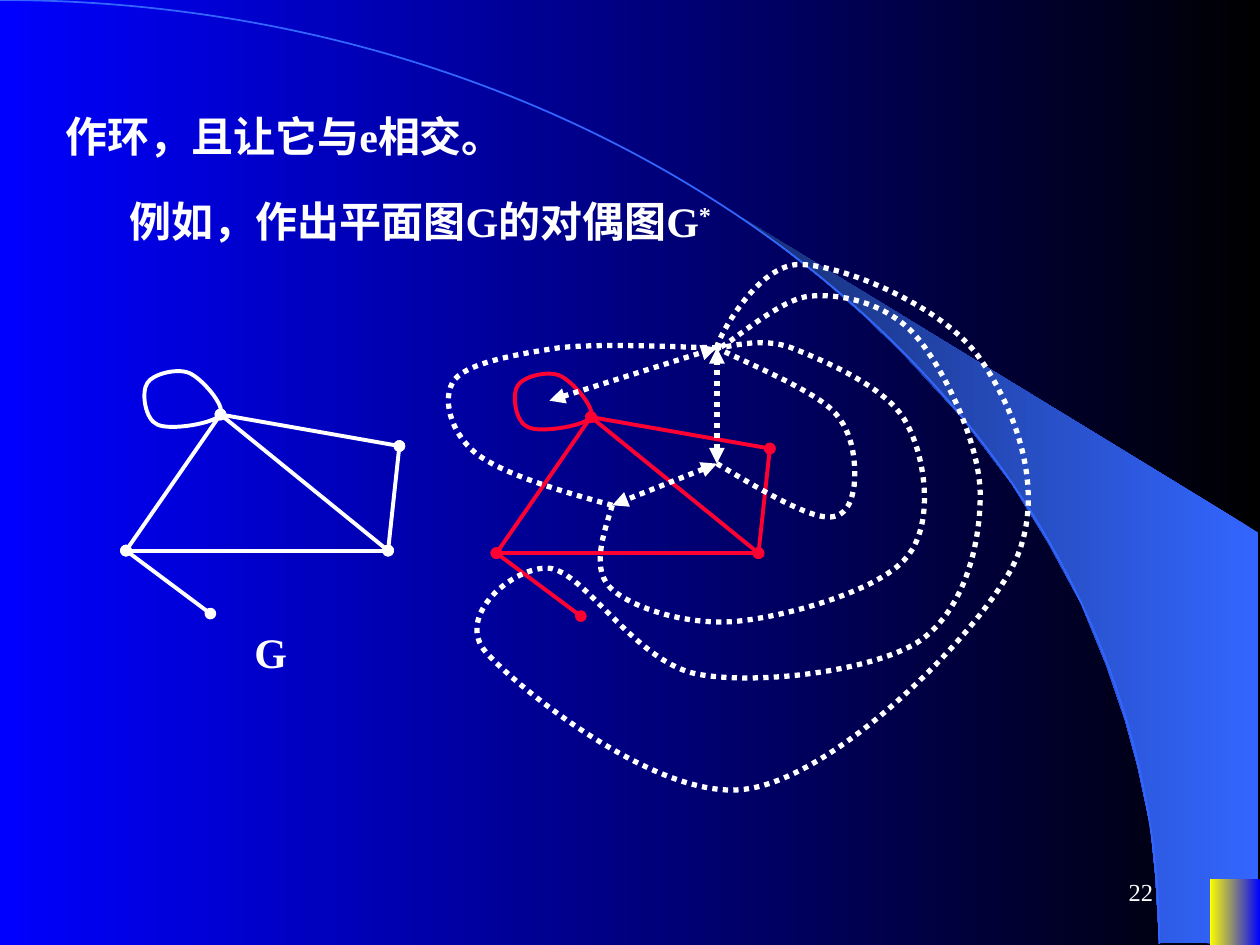
import pptx
import pptx.dml.color
import pptx.enum.dml
import pptx.enum.shapes
import pptx.enum.text
import pptx.oxml
import pptx.oxml.ns
import pptx.util
from pptx.util import Inches

RGBColor = pptx.dml.color.RGBColor
BLACK = RGBColor(0x00, 0x00, 0x00)
WHITE = RGBColor(0xFF, 0xFF, 0xFF)
RED = RGBColor(0xFF, 0x00, 0x33)
BLUE = RGBColor(0x00, 0x00, 0xFF)
YELLOW = RGBColor(0xFF, 0xFF, 0x00)
SKY = RGBColor(0x33, 0x66, 0xFF)
NAVY = RGBColor(0x17, 0x2F, 0x75)
FONT = "Times New Roman"
qn = pptx.oxml.ns.qn

presentation = pptx.Presentation()
presentation.slide_width = Inches(10)
presentation.slide_height = Inches(7.5)
slide = presentation.slides.add_slide(presentation.slide_layouts[6])
shapes = slide.shapes


def add_outline(points, curved=True, closed=False):
    """Draw an unfilled outline; if curved, each three points after the first make one Bezier."""
    vertices = [(Inches(x), Inches(y)) for x, y in points]
    builder = shapes.build_freeform(*vertices[0], scale=1.0)
    builder.add_line_segments(vertices[1:], close=closed)
    shape = builder.convert_to_shape()
    shape.shadow.inherit = False
    shape.fill.background()
    if curved:
        path = next(shape.element.iter(qn("a:path")))
        segments = iter(path.findall(qn("a:lnTo")))
        for triple in zip(segments, segments, segments):
            curve = path.makeelement(qn("a:cubicBezTo"))
            triple[0].addprevious(curve)
            for segment in triple:
                curve.append(segment[0])
                path.remove(segment)
    return shape


def add_edge(start, end, color, width, tip):
    """Draw a straight line with the same tip at both ends."""
    edge = shapes.add_connector(
        pptx.enum.shapes.MSO_CONNECTOR.STRAIGHT, *(Inches(value) for value in (*start, *end)))
    edge.line.color.rgb = color
    edge.line.width = pptx.util.Pt(width)
    if tip == "triangle":
        edge.line.dash_style = pptx.enum.dml.MSO_LINE.ROUND_DOT
    line = edge.element.spPr.find(qn("a:ln"))
    for tag in ("a:headEnd", "a:tailEnd"):
        line.append(line.makeelement(qn(tag), {"type": tip}))
    edge.element.spPr.append(line.makeelement(qn("a:effectLst")))


# Backdrop
band = add_outline([
    (9.2, 7.48), (9.99, 7.49), (9.99, 4.23), (5.89, 1.73), (6.24, 1.99), (6.53, 2.22),
    (6.85, 2.5), (7.16, 2.8), (7.62, 3.3), (8.03, 3.84), (8.32, 4.31), (8.58, 4.79),
    (8.78, 5.28), (8.93, 5.72), (9.03, 6.09), (9.13, 6.56), (9.17, 6.96), (9.2, 7.48),
], curved=False)
band.line.fill.background()

arc = add_outline([(0, 0), (5.08, 0), (9.2, 3.35), (9.2, 7.49)])
arc.line.color.rgb = SKY
arc.line.width = pptx.util.Pt(1)

corner = shapes.add_shape(
    pptx.enum.shapes.MSO_SHAPE.RECTANGLE, Inches(9.6), Inches(6.98), Inches(0.4), Inches(0.52))
corner.shadow.inherit = False
corner.line.fill.background()

for fill, first_color, last_color in (
    (slide.background.fill, BLACK, BLUE),
    (band.fill, SKY, NAVY),
    (corner.fill, BLUE, YELLOW),
):
    fill.gradient()
    fill.gradient_angle = 180
    for stop, position, color in zip(fill.gradient_stops, (0, 1), (first_color, last_color)):
        stop.position = position
        stop.color.rgb = color

# Graph G in white, and again in red under its dual
TOP, LEFT, CENTER, PENDANT, RIGHT = (
    (1.75, 3.29), (1, 4.37), (3.08, 4.37), (1.67, 4.87), (3.17, 3.54))
GRAPH_EDGES = [(TOP, LEFT), (LEFT, CENTER), (TOP, CENTER),
               (LEFT, PENDANT), (CENTER, RIGHT), (TOP, RIGHT)]
GRAPH_LOOP = [
    TOP, (1.79, 3.22), (1.6, 3), (1.5, 2.96), (1.4, 2.92), (1.21, 2.97), (1.17, 3.04),
    (1.12, 3.11), (1.15, 3.33), (1.25, 3.37), (1.35, 3.42), (1.71, 3.36), TOP]

for color, offset_x, offset_y in ((WHITE, 0, 0), (RED, 2.94, 0.02)):
    for edge_ends in GRAPH_EDGES:
        start, end = [(x + offset_x, y + offset_y) for x, y in edge_ends]
        add_edge(start, end, color, 2.25, "oval")
    loop = add_outline([(x + offset_x, y + offset_y) for x, y in GRAPH_LOOP], closed=True)
    loop.line.color.rgb = color
    loop.line.width = pptx.util.Pt(2.25)

# Dual graph G*: one vertex in each face
OUTER_FACE, RIGHT_FACE, LEFT_FACE, LOOP_FACE = (5.69, 2.76), (5.69, 3.68), (4.86, 4.01), (4.36, 3.18)
for start, end in ((RIGHT_FACE, LEFT_FACE), (RIGHT_FACE, OUTER_FACE), (LOOP_FACE, OUTER_FACE)):
    add_edge(start, end, WHITE, 3, "triangle")

DUAL_CURVES = [
    [RIGHT_FACE, (6.02, 3.88), (6.35, 4.07), (6.53, 4.1), (6.71, 4.13), (6.76, 3.99),
     (6.78, 3.85), (6.79, 3.71), (6.79, 3.44), (6.61, 3.26), (6.43, 3.08), (5.85, 2.85),
     OUTER_FACE],
    [LEFT_FACE, (4.78, 4.27), (4.69, 4.53), (4.86, 4.68), (5.03, 4.83), (5.47, 4.97),
     (5.86, 4.93), (6.25, 4.89), (6.97, 4.69), (7.19, 4.43), (7.42, 4.17), (7.35, 3.63),
     (7.19, 3.35), (7.04, 3.07), (6.53, 2.86), (6.28, 2.76), (6.03, 2.67), (5.79, 2.76),
     OUTER_FACE],
    [LEFT_FACE, (4.42, 3.89), (3.99, 3.76), (3.78, 3.6), (3.57, 3.43), (3.5, 3.15),
     (3.61, 3.01), (3.72, 2.88), (4.1, 2.81), (4.44, 2.76), (4.79, 2.72), (5.49, 2.76),
     OUTER_FACE],
    [OUTER_FACE, (5.68, 2.72), (6.01, 2.08), (6.36, 2.1), (6.71, 2.11), (7.5, 2.44),
     (7.78, 2.85), (8.06, 3.25), (8.33, 3.94), (8.03, 4.51), (7.72, 5.08), (6.64, 6.15),
     (5.94, 6.26), (5.25, 6.38), (4.12, 5.47), (3.86, 5.18), (3.6, 4.89), (4.08, 4.49),
     (4.36, 4.51), (4.64, 4.54), (5.04, 5.25), (5.53, 5.35), (6.01, 5.44), (6.9, 5.33),
     (7.28, 5.1), (7.65, 4.86), (7.78, 4.33), (7.78, 3.93), (7.78, 3.53), (7.5, 2.94),
     (7.28, 2.68), (7.06, 2.42), (6.71, 2.33), (6.44, 2.35), (6.18, 2.36), (5.71, 2.81),
     OUTER_FACE],
]
for points in DUAL_CURVES:
    curve = add_outline(points, closed=points[0] == points[-1])
    curve.line.color.rgb = WHITE
    curve.line.width = pptx.util.Pt(3)
    curve.line.dash_style = pptx.enum.dml.MSO_LINE.ROUND_DOT

# Text: left, top, width, indent, size, bold, runs
TEXTS = [
    (0.42, 0.83, 8.75, 0, 24, True, ["作环，且让它与e相交。"]),
    (0.33, 1.5, 8.75, 0.6, 24, True, ["例如，作出平面图G的对偶图G", "*"]),
    (1.92, 4.92, 0.77, 0, 24, True, ["G"]),
    (7.17, 6.83, 2.08, 0, 14, False, ["22"]),
]
for left, top, width, indent, size, bold, run_texts in TEXTS:
    text_box = shapes.add_textbox(Inches(left), Inches(top), Inches(width), Inches(0.5))
    frame = text_box.text_frame
    frame.word_wrap = True
    paragraph = frame.paragraphs[0]
    if indent:
        paragraph._p.get_or_add_pPr().set("indent", str(Inches(indent)))
    for text in run_texts:
        run = paragraph.add_run()
        run.text = text
        run.font.name = FONT
        run.font.size = pptx.util.Pt(size)
        run.font.bold = bold
        run.font.color.rgb = WHITE
        if text == "*":
            run.font._element.set("baseline", "30000")

# The last box is the slide number
frame.vertical_anchor = pptx.enum.text.MSO_ANCHOR.MIDDLE
paragraph.alignment = pptx.enum.text.PP_ALIGN.RIGHT

presentation.save("out.pptx")
